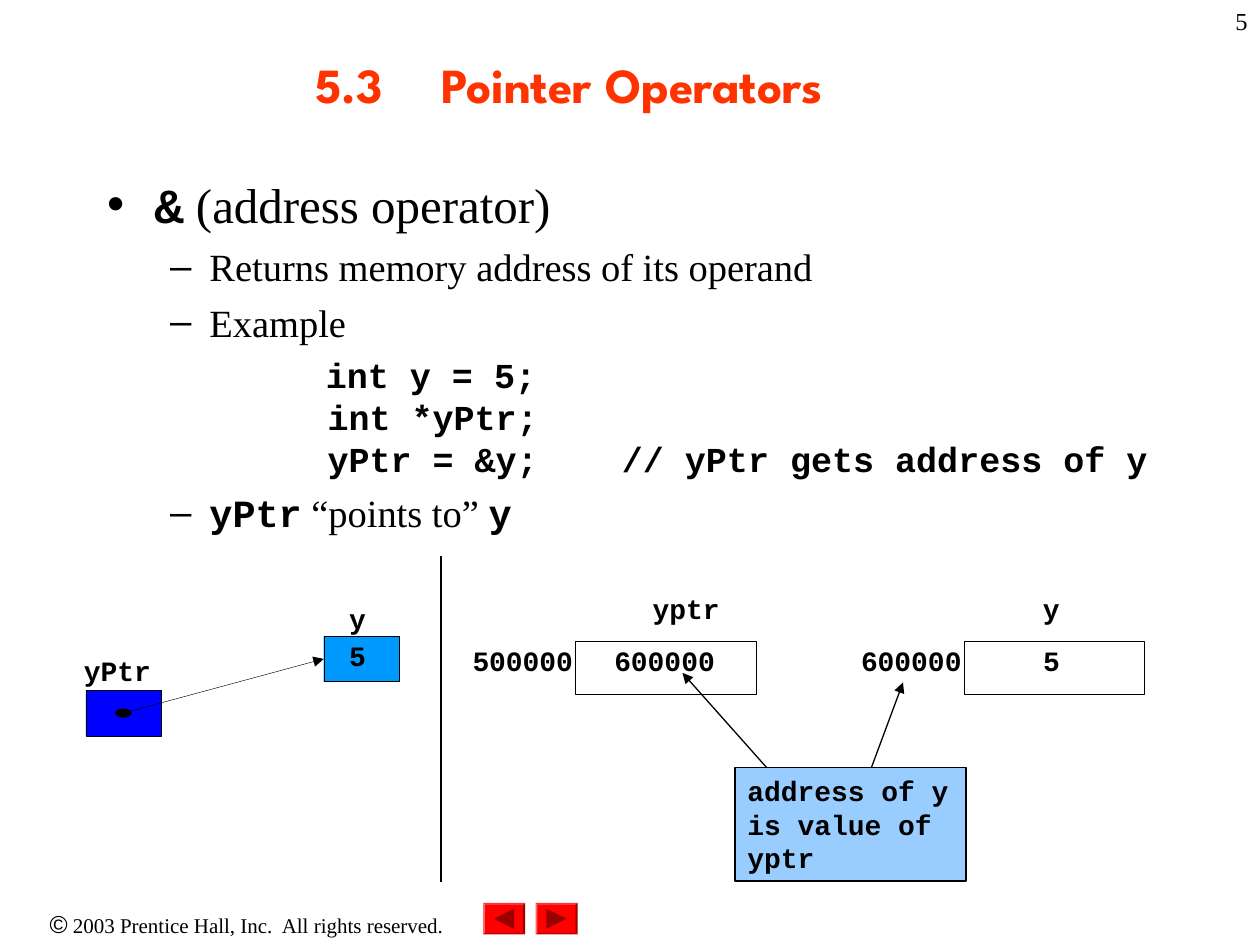
"""Build the slide on pointer operators with its two memory diagrams."""
from lxml.etree import SubElement as Sub
from pptx import Presentation as Deck
from pptx.dml.color import RGBColor as Rgb
from pptx.enum.shapes import MSO_CONNECTOR as Link, MSO_SHAPE as Kind
from pptx.enum.text import MSO_ANCHOR as Anchor, MSO_AUTO_SIZE as Fit, PP_ALIGN as Align
from pptx.oxml.ns import qn
from pptx.util import Pt

HUES = {"ink": "000000", "title": "FF3300", "blue": "0000FF", "sky": "0099FF",
        "note": "99CCFF", "red": "FF0000", "dark": "990000"}
CODE, SERIF = "Courier New", "Times New Roman"


def write(para, text, font=CODE, size=16, bold=True, hue="ink"):
    """Add text to a paragraph, breaking lines at each newline."""
    for i, line in enumerate(text.split("\n")):
        if i:
            para.add_line_break()
        run = para.add_run()
        run.text = line
        run.font.name, run.font.size, run.font.bold = font, Pt(size), bold
        run.font.color.rgb = Rgb.from_string(HUES[hue])


class Page:
    """Hold the current slide and draw each kind of element on it."""

    def __init__(self, deck):
        self.slide = deck.slides.add_slide(deck.slide_layouts[1])
        self.shapes = self.slide.shapes

    def place(self, item, left, top, width, height):
        """Move a placeholder and return its text frame."""
        item.left, item.top, item.width, item.height = map(Pt, (left, top, width, height))
        frame = item.text_frame
        frame.auto_size = Fit.NONE
        return frame

    def title(self, text, *area):
        """Fill the title, with tab stops one inch apart."""
        frame = self.place(self.shapes.title, *area)
        frame.vertical_anchor = Anchor.MIDDLE
        para = frame.paragraphs[0]
        para.alignment = Align.CENTER
        tabs = Sub(para._p.get_or_add_pPr(), qn("a:tabLst"))
        for i in range(8):
            Sub(tabs, qn("a:tab"), pos=str(Pt(72 * i)), algn="l")
        write(para, text, "League Spartan", 28, hue="title")

    def body(self, items, *area):
        """Fill the list from (level, margin, indent, gap, bullet, runs) rows."""
        frame = self.place(self.slide.placeholders[1], *area)
        for i, (level, margin, indent, gap, mark, runs) in enumerate(items):
            para = frame.add_paragraph() if i else frame.paragraphs[0]
            para.level = level
            para.space_before = Pt(gap if i else 0)
            props = para._p.get_or_add_pPr()
            props.set("marL", str(Pt(margin)))
            props.set("indent", str(Pt(indent)))
            if mark:
                Sub(props, qn("a:buChar"), char=mark)
            else:
                Sub(props, qn("a:buNone"))
            for text, form in runs:
                write(para, text, **form)

    def label(self, text, left, top, width, height, pitch=None):
        """Add a code label without margins."""
        para = self.text(left, top, width, height, pad=0)
        para.line_spacing = pitch
        write(para, text)

    def text(self, left, top, width, height, pad=None, align=Align.LEFT):
        """Add a text box and return its first paragraph."""
        frame = self.shapes.add_textbox(*map(Pt, (left, top, width, height))).text_frame
        frame.word_wrap = True
        if pad is not None:
            frame.margin_left = frame.margin_right = Pt(pad)
            frame.margin_top = frame.margin_bottom = Pt(pad)
        para = frame.paragraphs[0]
        para.alignment = align
        return para

    def shape(self, kind, left, top, width, height, fill=None, line=0.25):
        """Add a preset shape; a line width of 0 means no outline."""
        item = self.shapes.add_shape(kind, *map(Pt, (left, top, width, height)))
        item.shadow.inherit = False
        if fill:
            item.fill.solid()
            item.fill.fore_color.rgb = Rgb.from_string(HUES[fill])
        else:
            item.fill.background()
        if line:
            item.line.color.rgb = Rgb.from_string(HUES["ink"])
            item.line.width = Pt(line)
        else:
            item.line.fill.background()
        return item

    def line(self, *ends, width=0.75, arrow=True):
        """Add a straight line, with an arrowhead at its end if wanted."""
        item = self.shapes.add_connector(Link.STRAIGHT, *map(Pt, ends))
        item.line.color.rgb = Rgb.from_string(HUES["ink"])
        item.line.width = Pt(width)
        if arrow:
            Sub(item.line._get_or_add_ln(), qn("a:tailEnd"), type="triangle")
        Sub(item._element.spPr, qn("a:effectLst"))
        return item

    def button(self, left, turn):
        """Add a red button with a triangle turned to one side."""
        frame = self.shape(Kind.BEVEL, left, 516, 24, 18, "red", 0)
        frame.adjustments[0] = 0.06
        mark = self.shape(Kind.ISOSCELES_TRIANGLE, left + 6.25, 519.25, 11.5, 11.5, "dark", 0)
        mark.rotation = turn

    def cell(self, left, spot, name, value, inset, shift):
        """Add a memory cell with its address, name and value."""
        self.shape(Kind.RECTANGLE, left, 366.5, 103, 30)
        self.label(spot, left - 59, 371.5, 59, 23, 0.8)
        self.label(name, left + shift, 342, 41, 23, 0.8)
        self.label(value, left + inset, 371.5, 59, 23, 0.8)


def main():
    """Draw the slide and save it."""
    deck = Deck()
    deck.slide_width, deck.slide_height = Pt(720), Pt(540)
    page = Page(deck)

    foot = page.text(0, 516, 282, 24.5, align=Align.CENTER)
    write(foot, "©", "Arial", 14, False)
    write(foot, " 2003 Prentice Hall, Inc.  All rights reserved.", SERIF, 12, False)
    page.button(306, 90)
    page.button(276, 270)
    write(page.text(570, 0, 150, 36, align=Align.RIGHT), "5", SERIF, 14, False)

    page.title("5.3\tPointer Operators\t", 54, 6, 612, 84)
    plain = {"font": SERIF, "size": 22, "bold": False}
    code = {"size": 22}
    sub = (1, 58.5, -22.5, 5.5, "–")
    lines = "  int y = 5;\nint *yPtr;\nyPtr = &y;    // yPtr gets address of y"
    page.body([
        (0, 27, -27, 7, "•", [("&", {"size": 28}),
                              (" (address operator)", {**plain, "size": 28})]),
        (*sub, [("Returns memory address of its operand", plain)]),
        (*sub, [("Example", plain)]),
        (3, 126, -25, 5, None, [(lines, {"size": 20})]),
        (*sub, [("yPtr", code), (" “points to” ", plain), ("y", code)]),
    ], 54, 96, 612, 414)

    page.shape(Kind.RECTANGLE, 49, 394.5, 43, 26, "blue")
    goal = page.shape(Kind.RECTANGLE, 185, 363.5, 43, 26, "sky")
    page.line(70.5, 407.5, 185, 376.5, width=0.25).end_connect(goal, 1)
    page.label("yPtr", 48, 378.5, 45.5, 15, 0.72)
    page.shape(Kind.OVAL, 66, 405, 9, 5, "ink")
    for text, top in (("y", 348.5), ("5", 370)):
        page.label(text, 199.5, top, 14.5, 15, 0.72)

    page.cell(329, "500000", "yptr", "600000", 22, 44)
    page.cell(551, "600000", "y", "5", 45, 45)
    page.line(252, 318, 252, 504, arrow=False)
    note = page.shape(Kind.RECTANGLE, 420, 438.5, 132, 65, "note", 0.75).text_frame
    note.word_wrap = True
    note.vertical_anchor = Anchor.TOP
    note.paragraphs[0].alignment = Align.LEFT
    write(note.paragraphs[0], "address of y is value of yptr")
    page.line(498, 438.5, 516, 390)
    page.line(438, 438.5, 390, 384.5)

    deck.save("out.pptx")


if __name__ == "__main__":
    main()
